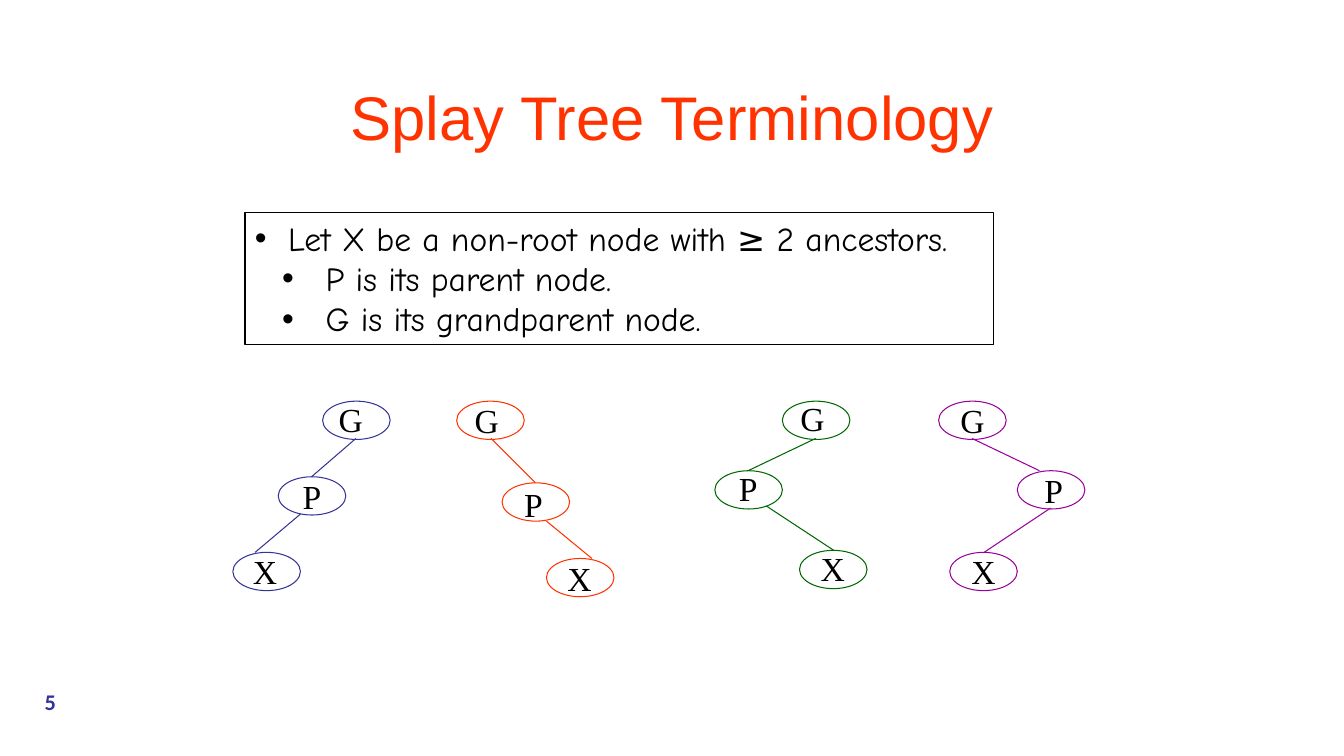
from pptx import Presentation
from pptx.dml.color import RGBColor
from pptx.enum.shapes import MSO_CONNECTOR, MSO_SHAPE
from pptx.enum.text import MSO_ANCHOR, PP_ALIGN
from pptx.oxml.xmlchemy import OxmlElement
from pptx.util import Inches, Pt


def color(value):
    return RGBColor.from_string(value)


def write(box, text, size, font, ink, align=PP_ALIGN.LEFT, anchor=MSO_ANCHOR.TOP, wrap=True):
    frame = box.text_frame
    frame.text = text
    frame.word_wrap = wrap
    frame.vertical_anchor = anchor
    for para in frame.paragraphs:
        para.alignment = align
        for span in para.runs:
            span.font.size = Pt(size)
            span.font.name = font
            span.font.color.rgb = color(ink)


deck = Presentation()
deck.slide_width = Inches(13.33)
deck.slide_height = Inches(7.5)
page = deck.slides.add_slide(deck.slide_layouts[6])
shapes = page.shapes

# Slide number
number = shapes.add_shape(MSO_SHAPE.OVAL, Inches(0), Inches(6.8), Inches(1), Inches(0.33))
number.shadow.inherit = False
number.fill.solid()
number.fill.fore_color.rgb = color("FFFFFF")
number.line.color.rgb = color("FFFFFF")
number.line.width = Pt(2)
write(number, "5", 16, "Calibri", "333399", PP_ALIGN.CENTER, MSO_ANCHOR.MIDDLE)
frame = number.text_frame
frame.margin_left = frame.margin_right = frame.margin_top = frame.margin_bottom = 0
frame.paragraphs[0].runs[0].font.bold = True

# Definitions
definitions = shapes.add_shape(
    MSO_SHAPE.RECTANGLE, Inches(2.43), Inches(2.11), Inches(7.42), Inches(1.31))
definitions.shadow.inherit = False
definitions.fill.background()
definitions.line.color.rgb = color("000000")
definitions.line.width = Pt(0.75)
write(definitions,
      "Let X be a non-root node with ≥ 2 ancestors.\n"
      "P is its parent node.\n"
      "G is its grandparent node.",
      24, "Comic Neue", "000000")
for level, para in zip((0, 1, 1), definitions.text_frame.paragraphs):
    para.level = level
    margin, hanging = ((0.33, 0.33), (0.7, 0.43))[level]
    properties = para._p.get_or_add_pPr()
    properties.set("marL", str(Inches(margin)))
    properties.set("indent", str(-Inches(hanging)))
    bullet_font = OxmlElement("a:buFont")
    bullet_font.set("typeface", "Arial")
    bullet = OxmlElement("a:buChar")
    bullet.set("char", "•")
    properties.extend([bullet_font, bullet])

# Trees: colour, nodes (letter, oval corner, corner of a separate label or None), edges
NODE_WIDTH, NODE_HEIGHT = Inches(0.67), Inches(0.38)
trees = [
    ("333399",
     [("G", (3.2, 3.98), (3.26, 3.91)),
      ("P", (2.76, 4.73), None),
      ("X", (2.31, 5.48), (2.41, 5.42))],
     [(3.53, 4.35, 3.09, 4.73), (2.98, 5.1, 2.53, 5.48)]),
    ("FF3300",
     [("G", (4.53, 3.98), (4.61, 3.92)),
      ("P", (4.98, 4.79), (5.1, 4.75)),
      ("X", (5.42, 5.54), (5.53, 5.49))],
     [(4.87, 4.35, 5.31, 4.79), (5.42, 5.17, 5.87, 5.54)]),
    ("006600",
     [("G", (7.76, 3.98), (7.84, 3.9)),
      ("P", (7.09, 4.67), (7.23, 4.59)),
      ("X", (7.93, 5.46), (8.04, 5.39))],
     [(8.09, 4.35, 7.42, 4.67), (7.6, 5.02, 8.27, 5.46)]),
    ("990099",
     [("G", (9.31, 3.98), None),
      ("P", (10.09, 4.67), (10.26, 4.61)),
      ("X", (9.42, 5.48), None)],
     [(9.64, 4.35, 10.31, 4.67), (10.42, 5.04, 9.76, 5.48)]),
]
for ink, nodes, edges in trees:
    for letter, (left, top), label_corner in nodes:
        node = shapes.add_shape(
            MSO_SHAPE.OVAL, Inches(left), Inches(top), NODE_WIDTH, NODE_HEIGHT)
        node.shadow.inherit = False
        node.fill.background()
        node.line.color.rgb = color(ink)
        node.line.width = Pt(0.75)
        if label_corner is None:
            write(node, letter, 24, "Times New Roman", "000000",
                  PP_ALIGN.CENTER, MSO_ANCHOR.MIDDLE, wrap=False)
        else:
            label_left, label_top = label_corner
            label = shapes.add_textbox(
                Inches(label_left), Inches(label_top), Inches(0.44), Inches(0.5))
            write(label, letter, 24, "Times New Roman", "000000")
    for edge in edges:
        branch = shapes.add_connector(MSO_CONNECTOR.STRAIGHT, *map(Inches, edge))
        branch.line.color.rgb = color(ink)
        branch.line.width = Pt(0.75)
        branch._element.spPr.append(OxmlElement("a:effectLst"))

# Title
title = shapes.add_textbox(Inches(2.39), Inches(0.71), Inches(8.55), Inches(0.88))
write(title, "Splay Tree Terminology", 44, "Arial", "FF3300",
      PP_ALIGN.CENTER, MSO_ANCHOR.MIDDLE)

deck.save("out.pptx")
